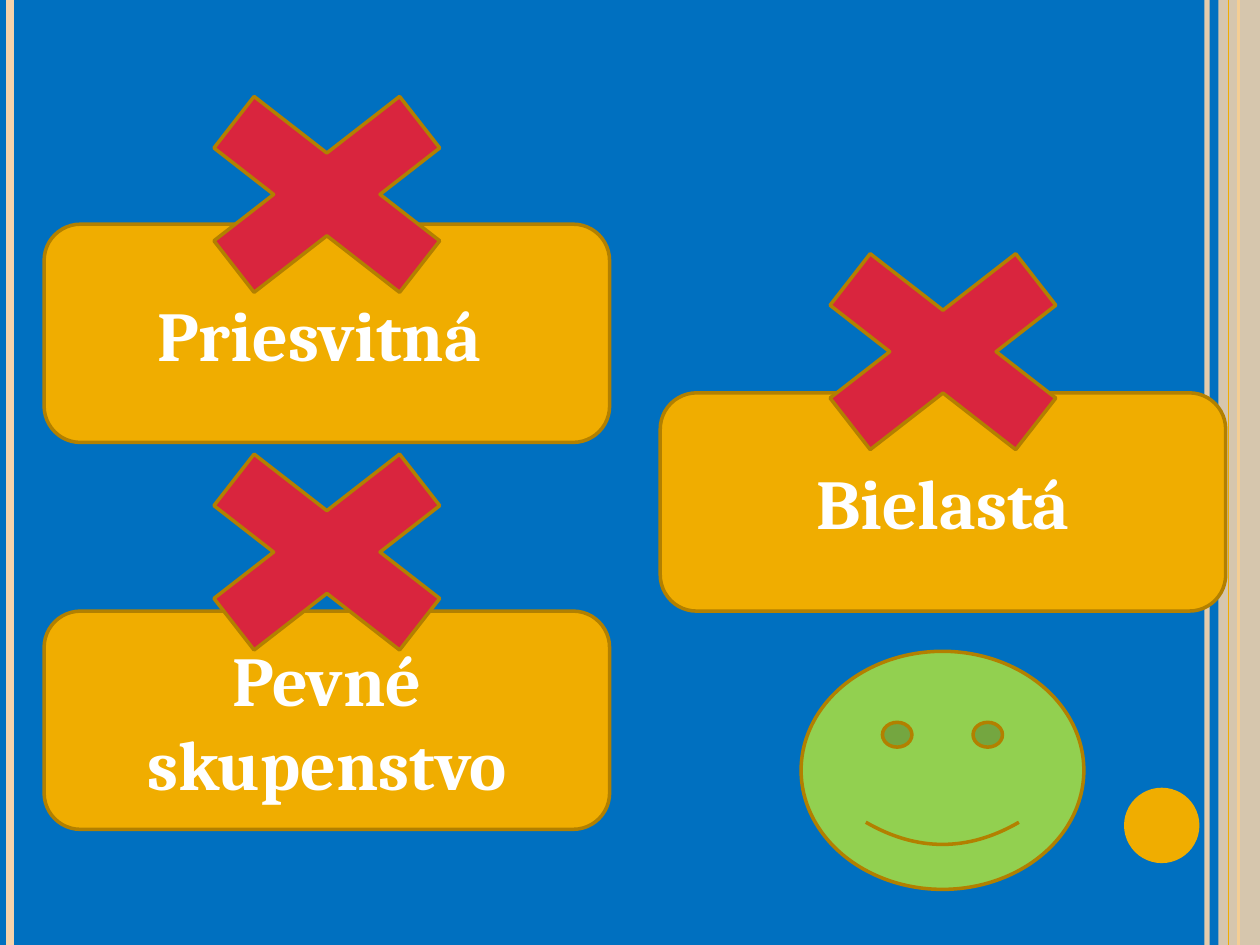
from dataclasses import dataclass

from lxml import etree
from pptx import Presentation
from pptx.dml.color import RGBColor
from pptx.enum.shapes import MSO_CONNECTOR, MSO_SHAPE as Shape
from pptx.enum.text import MSO_ANCHOR, PP_ALIGN
from pptx.oxml.ns import qn
from pptx.util import Cm, Pt


@dataclass(frozen=True)
class Theme:
    background: str = "0070C0"
    sand: str = "F6D3AB"
    amber: str = "F0AD00"
    outline: str = "B28000"
    red: str = "D9253E"
    green: str = "92D050"
    text: str = "FFFFFF"
    font: str = "Cambria"
    text_size: int = 40
    outline_width: int = 2


THEME = Theme()
PAGE_WIDTH, PAGE_HEIGHT = 25.4, 19.05
CARD_WIDTH, CARD_HEIGHT = 11.4, 4.4
CROSS_WIDTH, CROSS_HEIGHT = 7.2, 5.6

# Text, card left, card top, rise of the cross above the card (cm)
CARDS = [
    ("Priesvitná ", 0.89, 4.52, 3.4),
    ("Pevné skupenstvo", 0.89, 12.32, 3.99),
    ("Bielastá", 13.31, 7.92, 3.63),
]


def color(value):
    return RGBColor.from_string(value)


def set_opacity(fill_parent, percent):
    solid = next(fill_parent.iter(qn("a:solidFill")))
    etree.SubElement(solid[0], qn("a:alpha"), val=str(percent * 1000))


def add_figure(page, kind, left, top, width, height, fill, outlined=True):
    figure = page.shapes.add_shape(kind, Cm(left), Cm(top), Cm(width), Cm(height))
    figure.shadow.inherit = False
    figure.fill.solid()
    figure.fill.fore_color.rgb = color(fill)
    if outlined:
        figure.line.color.rgb = color(THEME.outline)
        figure.line.width = Pt(THEME.outline_width)
    else:
        figure.line.fill.background()
    return figure


def add_stripe(page, x, line_color, width, opacity=100):
    stripe = page.shapes.add_connector(
        MSO_CONNECTOR.STRAIGHT, Cm(x), Cm(0), Cm(x), Cm(PAGE_HEIGHT))
    stripe.line.color.rgb = color(line_color)
    stripe.line.width = Pt(width)
    if opacity < 100:
        set_opacity(stripe.line._get_or_add_ln(), opacity)
    etree.SubElement(stripe._element.spPr, qn("a:effectLst"))


def add_frame(page):
    """Side stripes, translucent band and dot."""
    add_stripe(page, 24.33, THEME.sand, 3, opacity=93)
    add_stripe(page, 0.2, THEME.sand, 4.5)
    add_stripe(page, 24.97, THEME.amber, 1.5)
    band_left = 24.56
    band = add_figure(page, Shape.RECTANGLE, band_left, 0,
                      PAGE_WIDTH - band_left, PAGE_HEIGHT, THEME.sand, outlined=False)
    set_opacity(band._element.spPr, 87)
    add_stripe(page, 24.77, THEME.amber, 0.75)
    add_figure(page, Shape.OVAL, 22.66, 15.88, 1.52, 1.52, THEME.amber, outlined=False)


def add_crossed_card(page, text, left, top, rise):
    """Rounded card with a cross centred over its top edge."""
    card = add_figure(page, Shape.ROUNDED_RECTANGLE, left, top,
                      CARD_WIDTH, CARD_HEIGHT, THEME.amber)
    frame = card.text_frame
    frame.word_wrap = True
    frame.vertical_anchor = MSO_ANCHOR.MIDDLE
    para = frame.paragraphs[0]
    para.text = text
    para.alignment = PP_ALIGN.CENTER
    para.font.name = THEME.font
    para.font.size = Pt(THEME.text_size)
    para.font.bold = True
    para.font.color.rgb = color(THEME.text)

    cross_left = left + (CARD_WIDTH - CROSS_WIDTH) / 2
    add_figure(page, Shape.MATH_MULTIPLY, cross_left, top - rise,
               CROSS_WIDTH, CROSS_HEIGHT, THEME.red)


def main():
    deck = Presentation()
    deck.slide_width, deck.slide_height = Cm(PAGE_WIDTH), Cm(PAGE_HEIGHT)
    page = deck.slides.add_slide(deck.slide_layouts[6])
    page.background.fill.solid()
    page.background.fill.fore_color.rgb = color(THEME.background)

    add_frame(page)
    for card in CARDS:
        add_crossed_card(page, *card)
    # Smiling face
    add_figure(page, Shape.SMILEY_FACE, 16.15, 13.13, 5.7, 4.8, THEME.green)
    deck.save("out.pptx")


if __name__ == "__main__":
    main()
